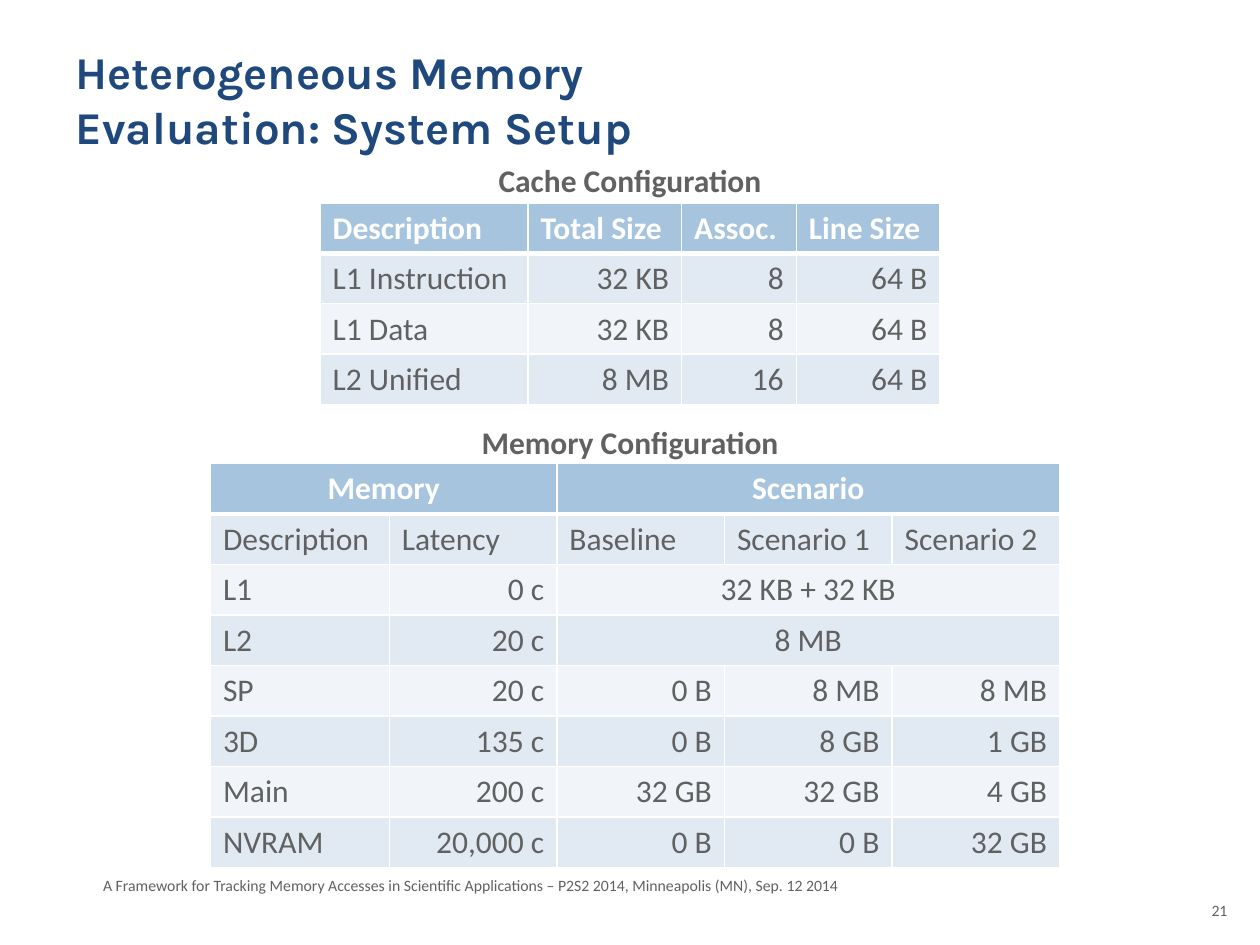
from dataclasses import dataclass

from lxml import etree
from pptx import Presentation
from pptx import util as u
from pptx.dml import color
from pptx.enum import text
from pptx.oxml import ns

TITLE_BLUE, GREY, WHITE = "1F497D", "616161", "FFFFFF"
HEADER_FILL, BAND_FILLS = "A6C4DE", ("E1EAF2", "F1F5F9")
LEFT, CENTER, RIGHT = text.PP_ALIGN.LEFT, text.PP_ALIGN.CENTER, text.PP_ALIGN.RIGHT
ROW_HEIGHT = 0.4


@dataclass
class Style:
    size: float = 18
    color: str = GREY
    bold: bool = False
    font: str = "Calibri"
    align: text.PP_ALIGN = LEFT


@dataclass
class Label:
    lines: list[str]
    left: float
    top: float
    width: float
    height: float
    style: Style


@dataclass
class Grid:
    """A table whose None cells continue the cell to their left."""
    left: float
    top: float
    columns: list[float]
    rows: list[list[str | None]]
    left_rows: int = 1  # leading rows whose text is not right-aligned


CAPTION = Style(bold=True, align=CENTER)

LABELS = [
    Label(["Heterogeneous Memory", "Evaluation: System Setup"], 0.5, 0.3, 9, 1.25,
          Style(26, TITLE_BLUE, True, "Karla")),
    Label(["A Framework for Tracking Memory Accesses in Scientific Applications"
           " – P2S2 2014, Minneapolis (MN), Sep. 12 2014"],
          0.72, 6.9, 6.5, 0.25, Style(9)),
    Label(["21"], 9.42, 7.1, 0.42, 0.4, Style(9, align=RIGHT)),
    Label(["Cache Configuration"], 2.79, 1.23, 4.42, 0.4, CAPTION),
    Label(["Memory Configuration"], 2.79, 3.31, 4.42, 0.4, CAPTION),
]

CACHE = Grid(2.54, 1.61, [1.65, 1.22, 0.91, 1.14], [
    ["Description", "Total Size", "Assoc.", "Line Size"],
    ["L1 Instruction", "32 KB", "8", "64 B"],
    ["L1 Data", "32 KB", "8", "64 B"],
    ["L2 Unified", "8 MB", "16", "64 B"],
])

MEMORY = Grid(1.67, 3.68, [1.42] + [1.33] * 4, [
    ["Memory", None, "Scenario", None, None],
    ["Description", "Latency", "Baseline", "Scenario 1", "Scenario 2"],
    ["L1", "0 c", "32 KB + 32 KB", None, None],
    ["L2", "20 c", "8 MB", None, None],
    ["SP", "20 c", "0 B", "8 MB", "8 MB"],
    ["3D", "135 c", "0 B", "8 GB", "1 GB"],
    ["Main", "200 c", "32 GB", "32 GB", "4 GB"],
    ["NVRAM", "20,000 c", "0 B", "0 B", "32 GB"],
], left_rows=2)


def rgb(value: str) -> color.RGBColor:
    return color.RGBColor.from_string(value)


def write(frame, lines: list[str], style: Style) -> None:
    paragraph = frame.paragraphs[0]
    paragraph.alignment = style.align
    for index, line in enumerate(lines):
        if index:
            paragraph.add_line_break()
        run = paragraph.add_run()
        run.text = line
        run.font.name = style.font
        run.font.size = u.Pt(style.size)
        run.font.bold = style.bold
        run.font.color.rgb = rgb(style.color)


def add_label(slide, label: Label) -> None:
    shape = slide.shapes.add_textbox(u.Inches(label.left), u.Inches(label.top),
                                     u.Inches(label.width), u.Inches(label.height))
    shape.text_frame.word_wrap = True
    write(shape.text_frame, label.lines, label.style)


def set_borders(cell, bottom: float, top: float) -> None:
    properties = cell._tc.get_or_add_tcPr()
    widths = {"a:lnL": 1, "a:lnR": 1, "a:lnT": top, "a:lnB": bottom}
    for index, (tag, width) in enumerate(widths.items()):
        line = etree.Element(ns.qn(tag), w=str(u.Pt(width)))
        fill = etree.SubElement(line, ns.qn("a:solidFill"))
        etree.SubElement(fill, ns.qn("a:srgbClr"), val=WHITE)
        properties.insert(index, line)  # borders come before the fill


def add_grid(slide, grid: Grid) -> None:
    row_count, column_count = len(grid.rows), len(grid.columns)
    table = slide.shapes.add_table(
        row_count, column_count, u.Inches(grid.left), u.Inches(grid.top),
        u.Inches(sum(grid.columns)), u.Inches(ROW_HEIGHT * row_count)).table
    for column, width in zip(table.columns, grid.columns):
        column.width = u.Inches(width)

    for r, values in enumerate(grid.rows):
        table.rows[r].height = u.Inches(ROW_HEIGHT)
        header = r == 0
        for c, value in enumerate(values):
            cell = table.cell(r, c)
            cell.fill.solid()
            cell.fill.fore_color.rgb = rgb(HEADER_FILL if header else BAND_FILLS[(r - 1) % 2])
            set_borders(cell, bottom=3 if header else 1, top=3 if r == 1 else 1)
            if value is None:
                continue
            # Merge with the None cells that follow
            end = c
            while end + 1 < column_count and values[end + 1] is None:
                end += 1
            if end > c:
                cell.merge(table.cell(r, end))
                align = CENTER
            else:
                align = LEFT if c == 0 or r < grid.left_rows else RIGHT
            write(cell.text_frame, [value],
                  Style(color=WHITE if header else GREY, bold=header, align=align))


def main() -> None:
    presentation = Presentation()
    presentation.slide_width, presentation.slide_height = u.Inches(10), u.Inches(7.5)
    slide = presentation.slides.add_slide(presentation.slide_layouts[6])

    # Title, captions and footer
    for label in LABELS:
        add_label(slide, label)

    # Configuration tables
    for grid in (CACHE, MEMORY):
        add_grid(slide, grid)

    presentation.save("out.pptx")


if __name__ == "__main__":
    main()
